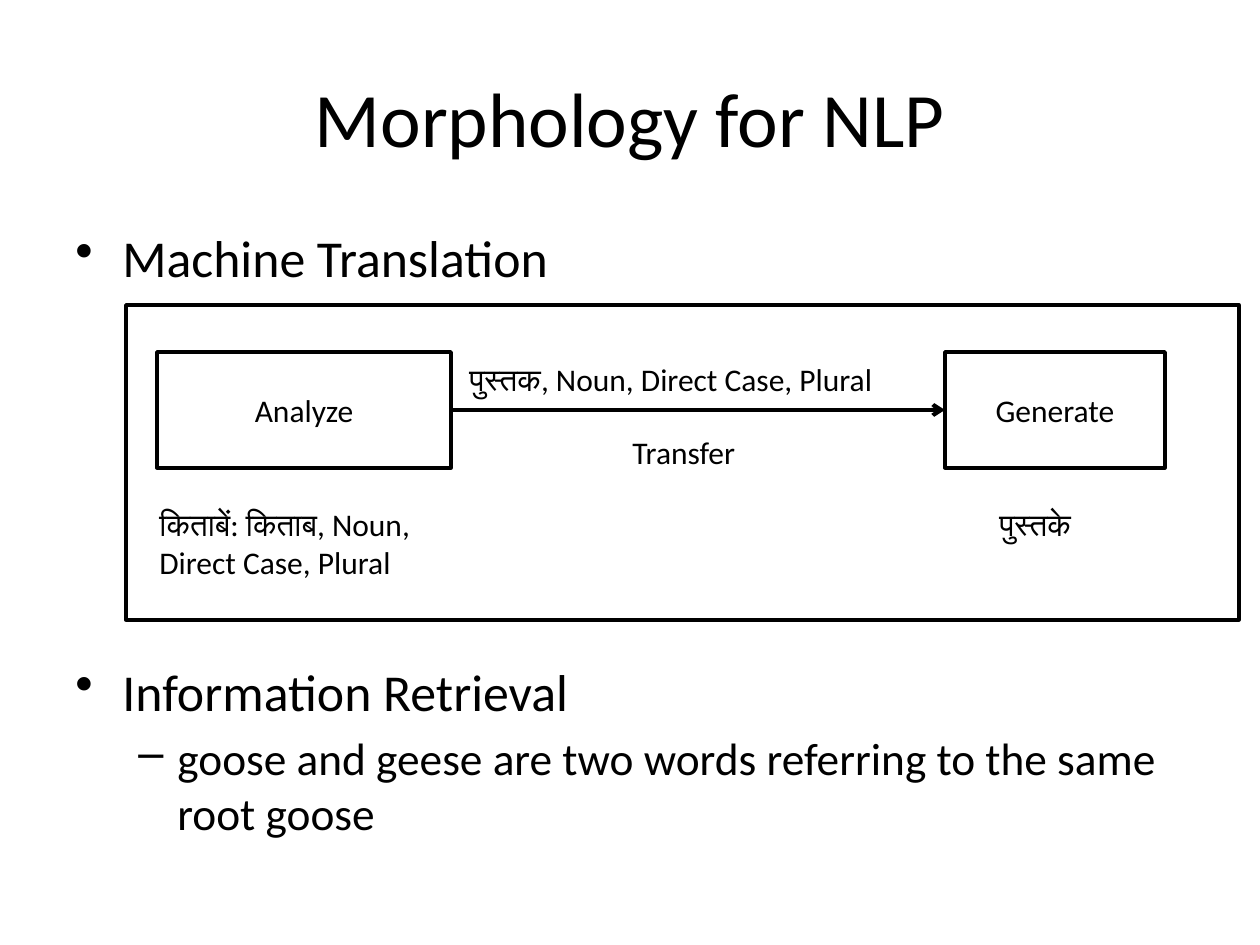
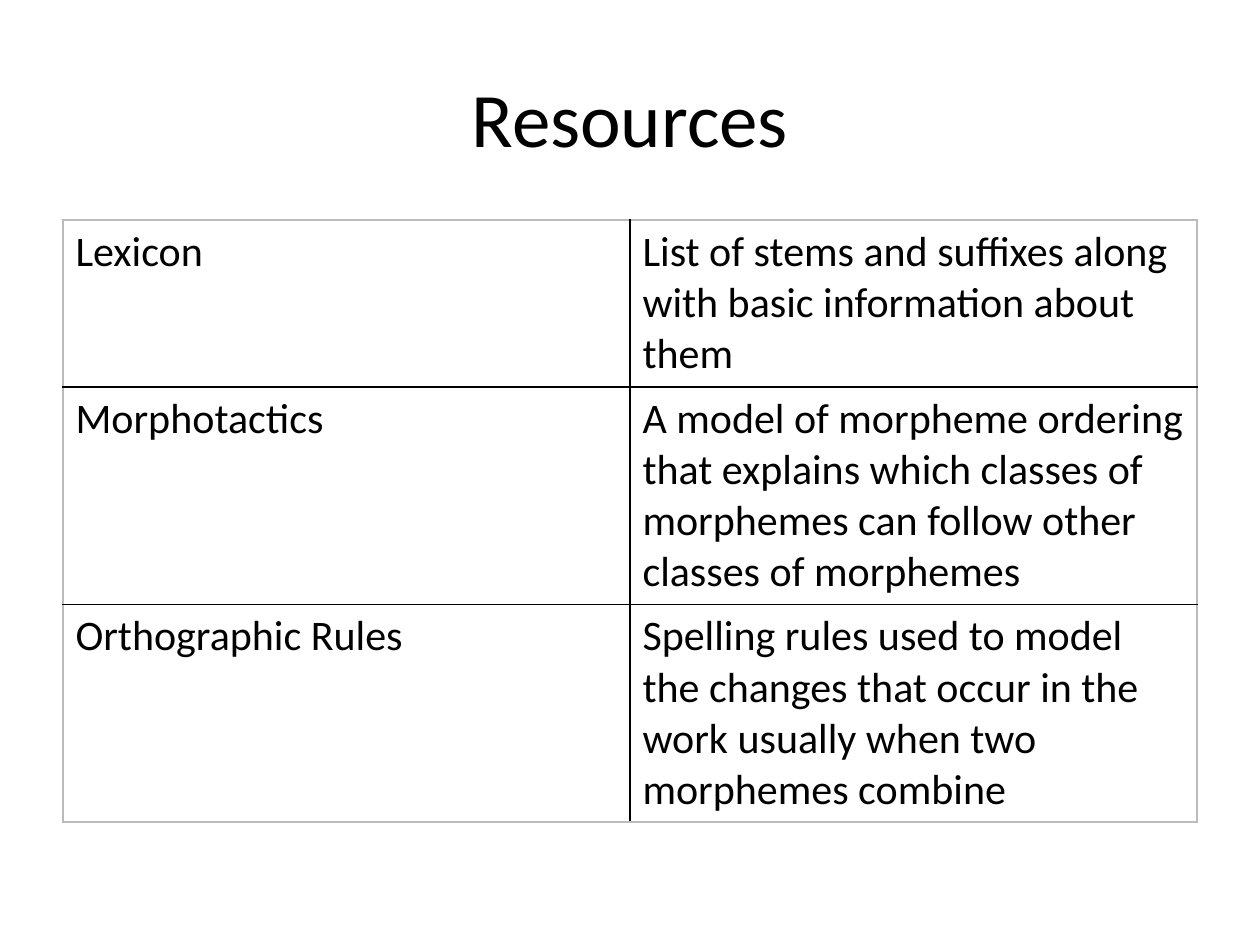
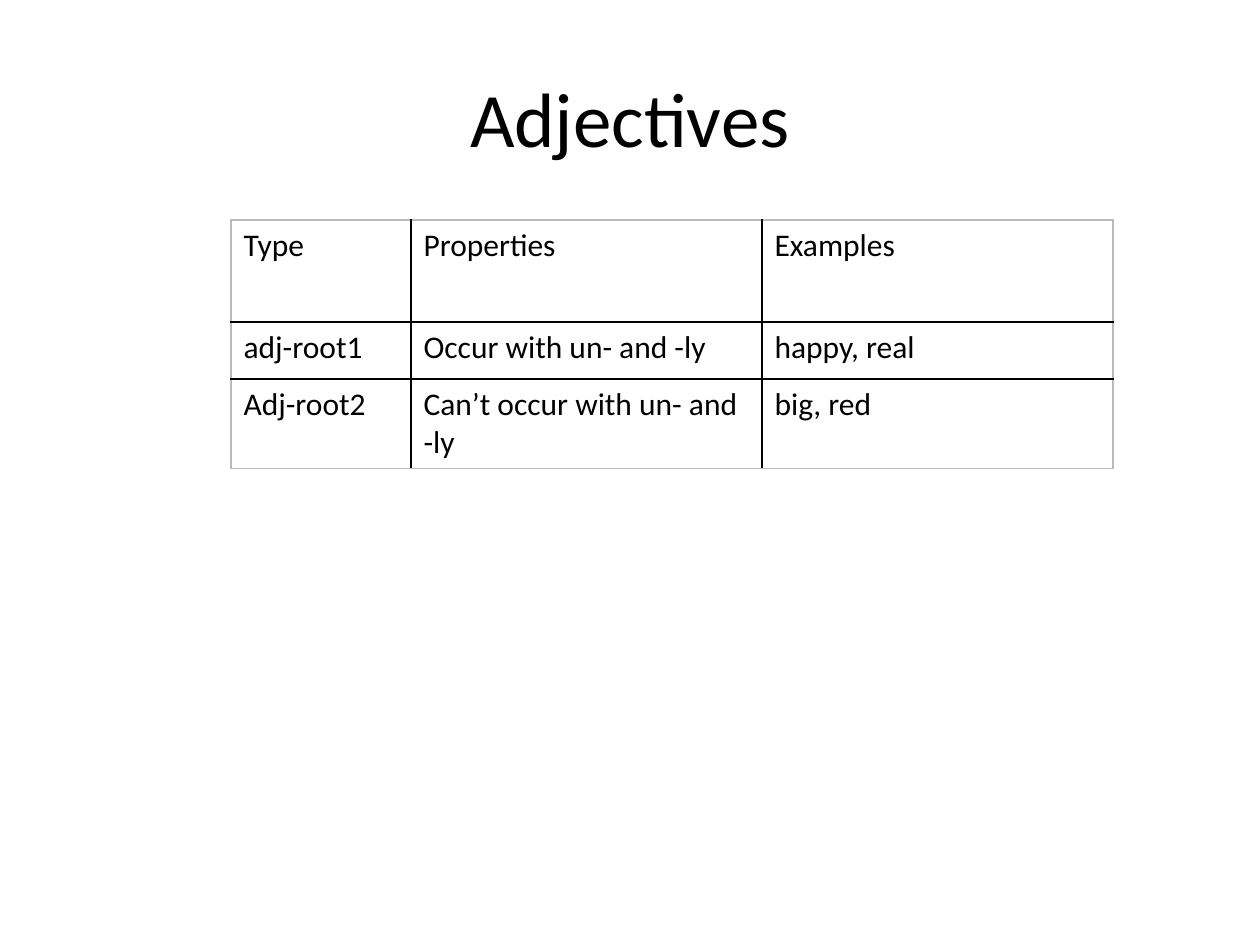
"""Build three slides on morphology: a translation diagram and two tables."""
import dataclasses
from typing import Optional

import pptx
import pptx.dml.color
import pptx.enum.shapes
import pptx.enum.text
import pptx.oxml
import pptx.oxml.ns
import pptx.util

PX = pptx.util.Inches(1) // 126
COLORS = {"ink": "000000", "edge": "BBBBBB", "paper": "FFFFFF"}
FONT = "Calibri"
ALIGN = pptx.enum.text.PP_ALIGN
ANCHOR = pptx.enum.text.MSO_ANCHOR


@dataclasses.dataclass(frozen=True)
class Box:
    """A rectangle in pixels."""
    x: int
    y: int
    w: int
    h: int

    def emu(self) -> tuple[int, int, int, int]:
        """Return the rectangle in EMU."""
        return self.x * PX, self.y * PX, self.w * PX, self.h * PX


@dataclasses.dataclass(frozen=True)
class Para:
    """A paragraph with its size, indents in pixels and space before in points."""
    text: str
    size: float = 18
    align: Optional[ALIGN] = None
    margin: int = 0
    hang: int = 0
    before: float = 0
    bullet: str = ""
    level: int = 0


@dataclasses.dataclass(frozen=True)
class Grid:
    """A table with its place, column widths, row heights and wording."""
    title: str
    x: int
    y: int
    cols: list[int]
    rows: list[int]
    size: float
    cells: list[list[str]]


TITLE = Box(63, 38, 1134, 158)
BODY = Box(63, 220, 1134, 624)
BODY_PARAS = [
    Para("Machine Translation", 29.6, margin=47, hang=47, before=2, bullet="•"),
    Para("Information Retrieval", 29.6, margin=47, hang=47, before=212, bullet="•"),
    Para("goose and geese are two words referring to the same root goose", 25.9,
         margin=102, hang=39, before=5, bullet="–", level=1),
]
ANALYZE = Box(157, 352, 294, 116)
GENERATE = Box(945, 352, 220, 116)
FRAME = Box(126, 305, 1113, 315)
LABELS = [
    (Box(620, 427, 242, 50), [Para("Transfer")]),
    (Box(21, 499, 577, 89), [Para("किताबें: किताब, Noun,", margin=126, level=2),
                             Para("Direct Case, Plural", margin=126, level=2)]),
    (Box(331, 354, 624, 50),
     [Para("पुस्तक, Noun, Direct Case, Plural", margin=126, level=2)]),
    (Box(861, 499, 237, 50), [Para("पुस्तके", margin=126, level=2)]),
]
GRIDS = [
    Grid("Resources", 63, 220, [567, 567], [167, 217, 217], 24, [
        ["Lexicon", "List of stems and suffixes along with basic information about them"],
        ["Morphotactics", "A model of morpheme ordering that explains which classes of "
                          "morphemes can follow other classes of morphemes"],
        ["Orthographic Rules", "Spelling rules used to model the changes that occur in the "
                               "work usually when two morphemes combine"],
    ]),
    Grid("Adjectives", 231, 220, [180, 351, 351], [102, 57, 89], 18, [
        ["Type", "Properties", "Examples"],
        ["adj-root1", "Occur with un- and -ly", "happy, real"],
        ["Adj-root2", "Can’t occur with un- and -ly", "big, red"],
    ]),
]


def rgb(name: str) -> pptx.dml.color.RGBColor:
    """Look up a named colour."""
    return pptx.dml.color.RGBColor.from_string(COLORS[name])


def write(tf, paras: list[Para]) -> None:
    """Fill a text frame with paragraphs."""
    tf.word_wrap = True
    for i, para in enumerate(paras):
        p = tf.paragraphs[0] if i == 0 else tf.add_paragraph()
        p.level = para.level
        p.space_before = pptx.util.Pt(para.before)
        if para.align is not None:
            p.alignment = para.align
        pPr = p._p.get_or_add_pPr()
        pPr.set("marL", str(para.margin * PX))
        pPr.set("indent", str(-para.hang * PX))
        if para.bullet:
            pptx.oxml.ns.qn("a:buChar")
            bu = pptx.oxml.parse_xml(
                f'<a:buChar {pptx.oxml.ns.nsdecls("a")} char="{para.bullet}"/>')
            pPr.append(bu)
        r = p.add_run()
        r.text = para.text
        r.font.name = FONT
        r.font.size = pptx.util.Pt(para.size)
        r.font.color.rgb = rgb("ink")


def add_slide(prs, title: str):
    """Add a title-only slide with its title set."""
    s = prs.slides.add_slide(prs.slide_layouts[5])
    s.background.fill.solid()
    s.background.fill.fore_color.rgb = rgb("paper")
    sp = s.shapes.title
    sp.left, sp.top, sp.width, sp.height = TITLE.emu()
    sp.text_frame.vertical_anchor = ANCHOR.MIDDLE
    write(sp.text_frame, [Para(title, 44, ALIGN.CENTER)])
    return s


def add_text(s, box: Box, paras: list[Para]) -> None:
    """Add a text box."""
    write(s.shapes.add_textbox(*box.emu()).text_frame, paras)


def add_rect(s, box: Box, label: str = ""):
    """Add an outlined rectangle with an optional centred label."""
    sp = s.shapes.add_shape(pptx.enum.shapes.MSO_SHAPE.RECTANGLE, *box.emu())
    sp.shadow.inherit = False
    sp.fill.background()
    sp.line.color.rgb = rgb("ink")
    sp.line.width = pptx.util.Pt(2)
    if label:
        sp.text_frame.vertical_anchor = ANCHOR.MIDDLE
        write(sp.text_frame, [Para(label, align=ALIGN.CENTER)])
    return sp


def add_arrow(s, start, end) -> None:
    """Join the right side of one rectangle to the left side of another."""
    cx = s.shapes.add_connector(pptx.enum.shapes.MSO_CONNECTOR.STRAIGHT, 0, 0, 0, 0)
    cx.begin_connect(start, 3)
    cx.end_connect(end, 1)
    cx.line.color.rgb = rgb("ink")
    cx.line.width = pptx.util.Pt(2.25)
    ns = pptx.oxml.ns.nsdecls("a")
    cx.line._get_or_add_ln().append(pptx.oxml.parse_xml(f'<a:tailEnd {ns} type="arrow"/>'))
    cx._element.spPr.append(pptx.oxml.parse_xml(f"<a:effectLst {ns}/>"))


def set_borders(cell, outer: dict[str, bool]) -> None:
    """Rule the sides of a cell, lighter where they lie on the table's edge."""
    tcPr = cell._tc.get_or_add_tcPr()
    for i, (side, on_edge) in enumerate(outer.items()):
        color = COLORS["edge" if on_edge else "ink"]
        tcPr.insert(i, pptx.oxml.parse_xml(
            f'<a:ln{side} {pptx.oxml.ns.nsdecls("a")} w="{pptx.util.Pt(1)}"><a:solidFill>'
            f'<a:srgbClr val="{color}"/></a:solidFill></a:ln{side}>'))


def add_grid(s, grid: Grid) -> None:
    """Add a plain ruled table."""
    rows, cols = len(grid.rows), len(grid.cols)
    box = Box(grid.x, grid.y, sum(grid.cols), sum(grid.rows))
    table = s.shapes.add_table(rows, cols, *box.emu()).table
    table.first_row = table.horz_banding = False
    for column, width in zip(table.columns, grid.cols):
        column.width = width * PX
    for i, height in enumerate(grid.rows):
        table.rows[i].height = height * PX
        for j, text in enumerate(grid.cells[i]):
            cell = table.cell(i, j)
            cell.fill.background()
            write(cell.text_frame, [Para(text, grid.size)])
            set_borders(cell, {"L": j == 0, "R": j == cols - 1,
                               "T": i == 0, "B": i == rows - 1})


def add_diagram(prs) -> None:
    """Add the slide with the translation diagram."""
    s = add_slide(prs, "Morphology for NLP")
    add_text(s, BODY, BODY_PARAS)
    analyze = add_rect(s, ANALYZE, "Analyze")
    generate = add_rect(s, GENERATE, "Generate")
    add_arrow(s, analyze, generate)
    for box, paras in LABELS:
        add_text(s, box, paras)
    add_rect(s, FRAME)


def main() -> None:
    """Build and save the presentation."""
    prs = pptx.Presentation()
    prs.slide_width, prs.slide_height = 1260 * PX, 945 * PX
    add_diagram(prs)
    for grid in GRIDS:
        add_grid(add_slide(prs, grid.title), grid)
    prs.save("out.pptx")


main()
